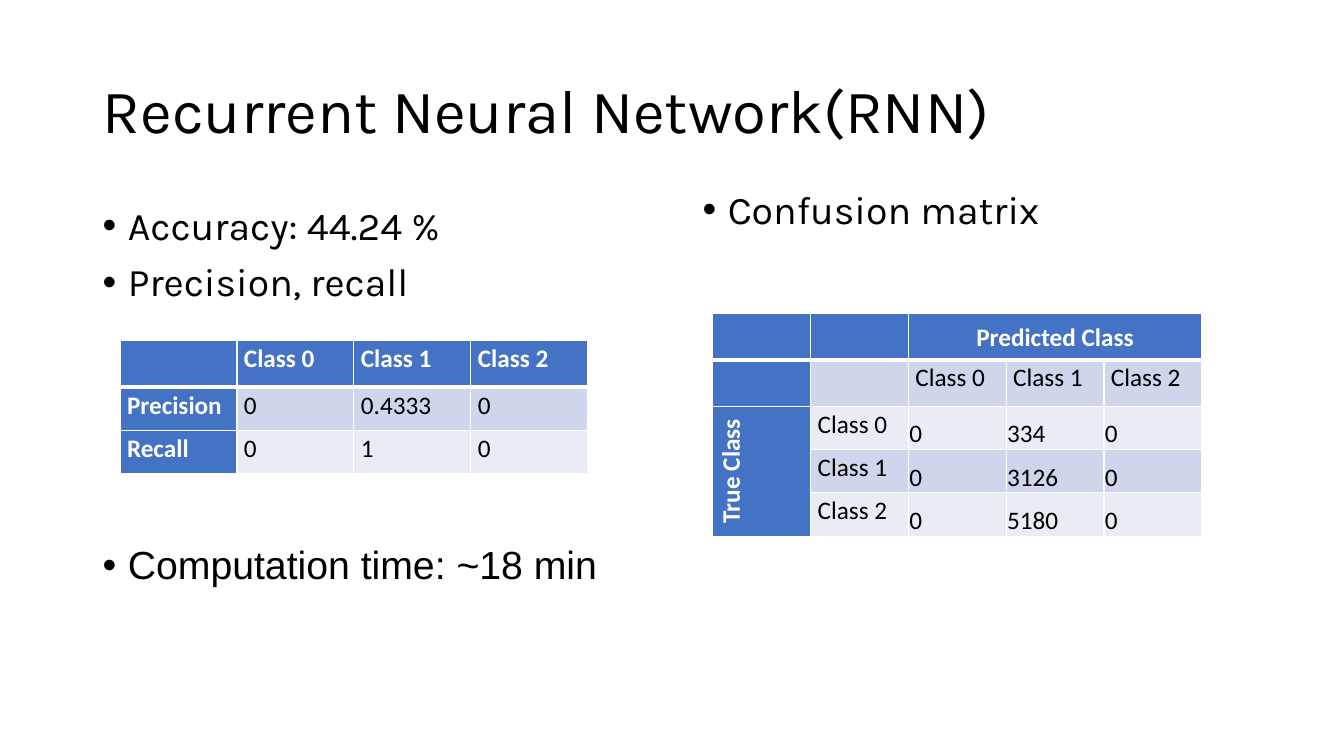
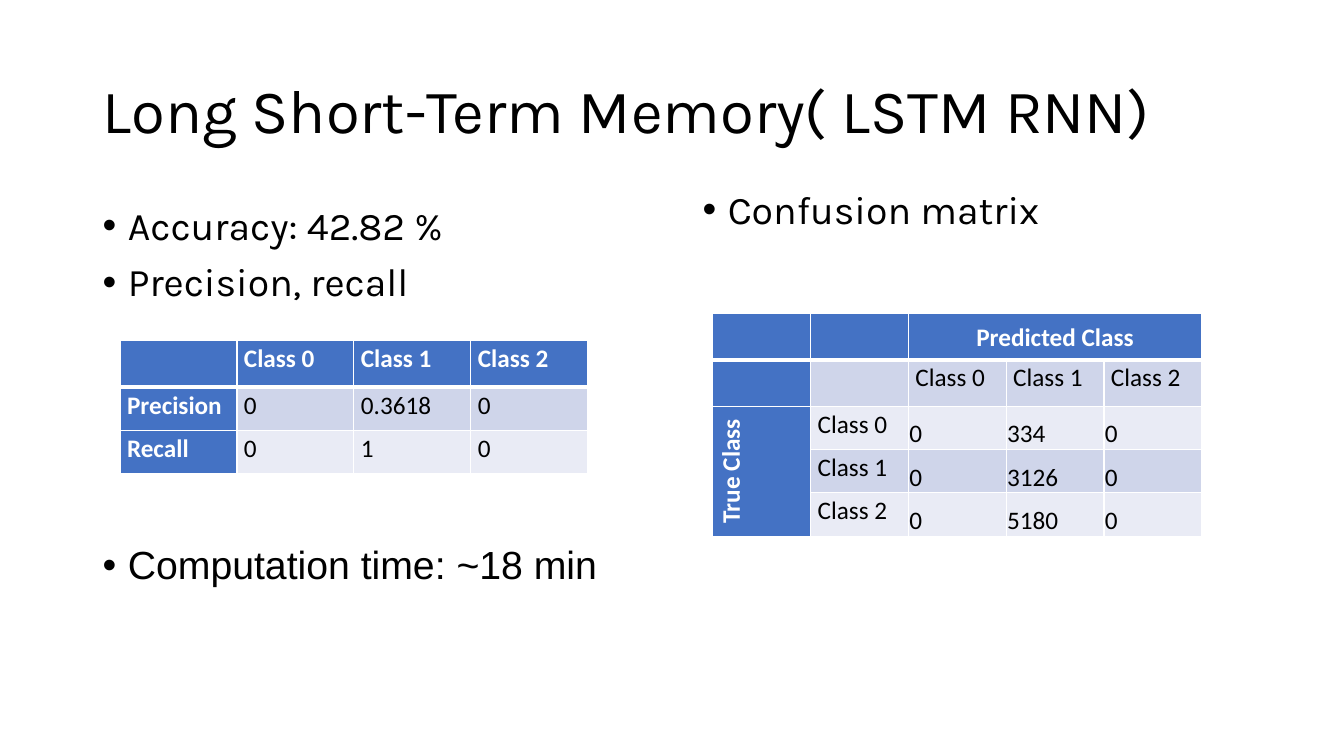
import pptx
import pptx.dml.color
import pptx.enum.text
import pptx.util
from pptx.oxml import parse_xml
from pptx.oxml.ns import nsdecls

Inches = pptx.util.Inches
Pt = pptx.util.Pt
ANCHOR = pptx.enum.text.MSO_ANCHOR
ALIGN = pptx.enum.text.PP_ALIGN

COLORS = {
    "text": "000000",
    "white": "FFFFFF",
    "header": "4472C4",
    "band_dark": "CFD5EA",
    "band_light": "E9EBF5",
}
HEADING_FONT = "Karla"
PLAIN_FONT = "Arial"
TABLE_FONT = "Calibri"

TITLE_BOX = (0.92, 0.4, 11.5, 1.45)
SCORES_BOX = (0.92, 2, 5.76, 4.76)
MATRIX_BOX = (6.87, 1.84, 5.76, 4.76)
CLASSES = ["Class 0", "Class 1", "Class 2"]
TABLE_GAP = 172  # points left free between bullets for the score table

MODELS = [
    {
        "title": "Recurrent Neural Network(RNN)",
        "accuracy": "44.24 %",
        "precision": ["0", "0.4333", "0"],
        "recall": ["0", "1", "0"],
        "time": "~18 min",
        "confusion": [["0", "334", "0"], ["0", "3126", "0"], ["0", "5180", "0"]],
    },
    {
        "title": "Long Short-Term Memory( LSTM RNN)",
        "accuracy": "42.82 %",
        "precision": ["0", "0.3618", "0"],
        "recall": ["0", "1", "0"],
        "time": "~18 min",
        "confusion": [["0", "334", "0"], ["0", "3126", "0"], ["0", "5180", "0"]],
    },
]


def rgb(name):
    return pptx.dml.color.RGBColor.from_string(COLORS[name])


def style_runs(p, font, size, color="text", bold=False):
    for r in p.runs:
        r.font.name = font
        r.font.size = Pt(size)
        r.font.bold = bold
        r.font.color.rgb = rgb(color)


def add_title(s, text):
    title = s.shapes.title
    title.left, title.top, title.width, title.height = map(Inches, TITLE_BOX)
    tf = title.text_frame
    tf.text = text
    tf.auto_size = pptx.enum.text.MSO_AUTO_SIZE.NONE
    tf.vertical_anchor = ANCHOR.MIDDLE
    p = tf.paragraphs[0]
    p.alignment = ALIGN.LEFT
    p.line_spacing = 0.9
    style_runs(p, HEADING_FONT, 44)


def add_bullets(s, box, items):
    """Each item is (text, font, space before in points)."""
    tf = s.shapes.add_textbox(*map(Inches, box)).text_frame
    tf.word_wrap = True
    for i, (text, font, space) in enumerate(items):
        p = tf.add_paragraph() if i else tf.paragraphs[0]
        p.text = text
        p.line_spacing = 0.9
        p.space_before = Pt(space)
        style_runs(p, font, 28)
        pPr = p._p.get_or_add_pPr()
        pPr.set("marL", str(Inches(0.25)))
        pPr.set("indent", str(-Inches(0.25)))
        pPr.append(parse_xml(f'<a:buFont {nsdecls("a")} typeface="Arial"/>'))
        pPr.append(parse_xml(f'<a:buChar {nsdecls("a")} char="•"/>'))


def set_borders(cell, row):
    """White rules, with a heavy one under the first row."""
    widths = {
        "lnL": 1,
        "lnR": 1,
        "lnT": 3 if row == 1 else 1,
        "lnB": 3 if row == 0 else 1,
    }
    tcPr = cell._tc.get_or_add_tcPr()
    for tag, width in widths.items():
        tcPr.append(parse_xml(
            f'<a:{tag} {nsdecls("a")} w="{Pt(width)}"><a:solidFill>'
            f'<a:srgbClr val="{COLORS["white"]}"/></a:solidFill></a:{tag}>'))


def set_insets(cell, side):
    cell.margin_left = cell.margin_right = Inches(side)
    cell.margin_top, cell.margin_bottom = Inches(0.01), 0


def add_grid(s, left, top, col_width, heights, rows):
    """Table with a blue first row and column and banded body rows."""
    cols = len(rows[0])
    table = s.shapes.add_table(
        len(rows), cols, Inches(left), Inches(top),
        Inches(col_width * cols), Inches(sum(heights))).table
    table.first_row = table.horz_banding = False
    for col in table.columns:
        col.width = Inches(col_width)
    for i, (height, values) in enumerate(zip(heights, rows)):
        table.rows[i].height = Inches(height)
        for j, value in enumerate(values):
            cell = table.cell(i, j)
            header = i == 0 or j == 0
            band = "band_dark" if i % 2 else "band_light"
            set_borders(cell, i)
            cell.fill.solid()
            cell.fill.fore_color.rgb = rgb("header" if header else band)
            set_insets(cell, 0.07)
            cell.text_frame.text = value
            p = cell.text_frame.paragraphs[0]
            p.line_spacing = 1.07
            style_runs(p, TABLE_FONT, 18, "white" if header else "text", header)
    return table


def center_merged(first, last):
    first.merge(last)
    first.vertical_anchor = ANCHOR.MIDDLE
    first.text_frame.paragraphs[0].alignment = ALIGN.CENTER


def add_scores(s, box, model):
    add_bullets(s, box, [
        (f"Accuracy: {model['accuracy']}", HEADING_FONT, 10),
        ("Precision, recall", HEADING_FONT, 10),
        (f"Computation time: {model['time']}", PLAIN_FONT, TABLE_GAP),
    ])
    left, top = box[:2]
    add_grid(s, left + 0.27, top + 1.38, 1.16, [0.46, 0.43, 0.43], [
        ["", *CLASSES],
        ["Precision", *model["precision"]],
        ["Recall", *model["recall"]],
    ])


def add_confusion_matrix(s, box, counts):
    left, top = box[:2]
    rows = [["", "", "Predicted Class", "", ""], ["", "", *CLASSES]]
    for i, (name, values) in enumerate(zip(CLASSES, counts)):
        rows.append(["" if i else "True Class", name, *values])
    table = add_grid(s, left + 0.2, top + 1.27, 0.97,
                     [0.46, 0.46, 0.43, 0.43, 0.43], rows)
    center_merged(table.cell(0, 2), table.cell(0, 4))
    true_class = table.cell(2, 0)
    center_merged(true_class, table.cell(4, 0))
    true_class._tc.get_or_add_tcPr().set("vert", "vert270")
    for i in range(2, 5):
        for j in range(2, 5):
            count = table.cell(i, j)
            count.vertical_anchor = ANCHOR.BOTTOM
            set_insets(count, 0.01)
    add_bullets(s, box, [("Confusion matrix", HEADING_FONT, 10)])


def add_model_slide(prs, model):
    s = prs.slides.add_slide(prs.slide_layouts[5])
    add_title(s, model["title"])
    add_scores(s, SCORES_BOX, model)
    add_confusion_matrix(s, MATRIX_BOX, model["confusion"])


def main():
    prs = pptx.Presentation()
    prs.slide_width, prs.slide_height = Inches(13.33), Inches(7.5)
    for model in MODELS:
        add_model_slide(prs, model)
    prs.save("out.pptx")


if __name__ == "__main__":
    main()
